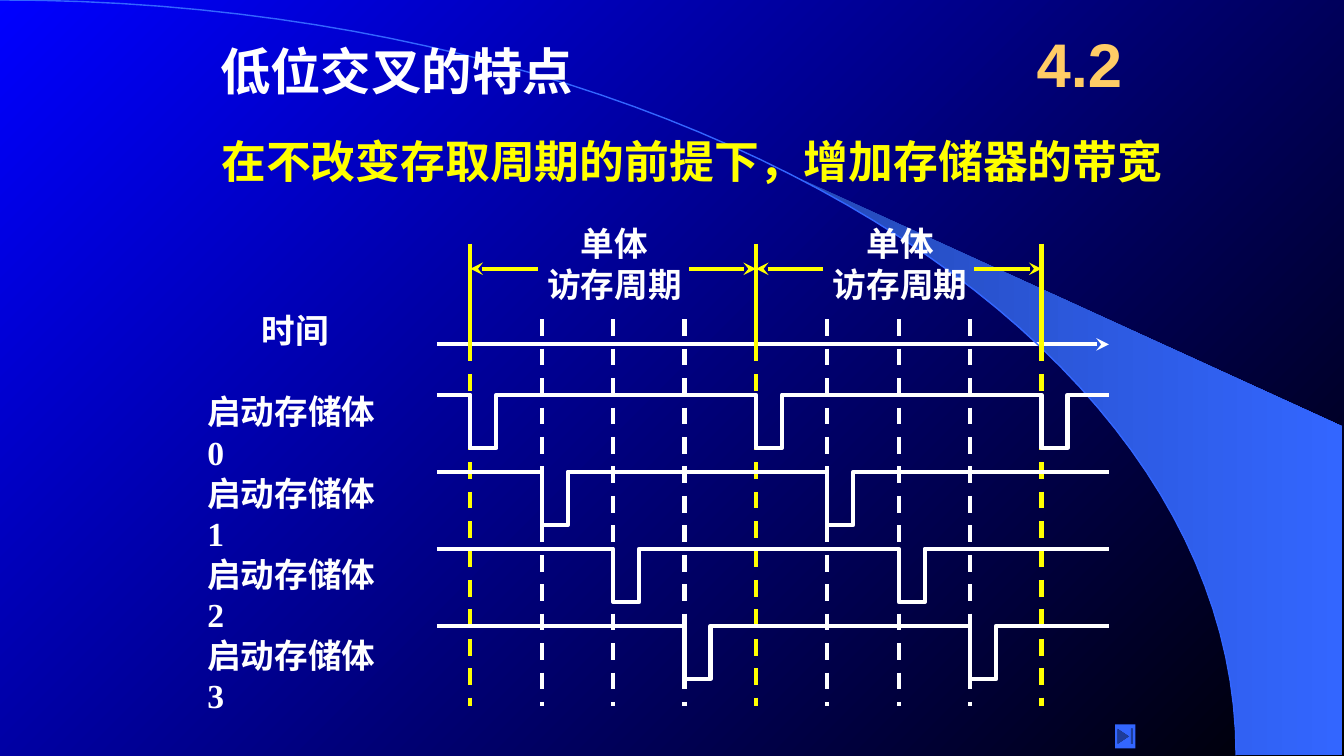
from lxml import etree
from pptx import Presentation
from pptx.dml.color import RGBColor
from pptx.enum.dml import MSO_LINE
from pptx.enum.shapes import MSO_CONNECTOR, MSO_SHAPE
from pptx.enum.text import MSO_ANCHOR, PP_ALIGN
from pptx.oxml.ns import qn
from pptx.util import Pt

STRAIGHT = MSO_CONNECTOR.STRAIGHT
DASH = MSO_LINE.DASH
TOP, MIDDLE = MSO_ANCHOR.TOP, MSO_ANCHOR.MIDDLE
LEFT, CENTER = PP_ALIGN.LEFT, PP_ALIGN.CENTER
COLORS = {"white": "FFFFFF", "yellow": "FFFF00", "orange": "FFCC66",
          "blue": "3366FF", "deep": "2449B6", "bg_start": "0000FF", "bg_end": "000000"}
RGB = {name: RGBColor.from_string(value) for name, value in COLORS.items()}

prs = Presentation()
prs.slide_width, prs.slide_height = Pt(960), Pt(540)
s = prs.slides.add_slide(prs.slide_layouts[5])


def add_line(x1, y1, x2, y2, color, dashed=False, arrow=False):
    line = s.shapes.add_connector(STRAIGHT, Pt(x1), Pt(y1), Pt(x2), Pt(y2))
    line.line.color.rgb = RGB[color]
    line.line.width = Pt(3)
    if dashed:
        line.line.dash_style = DASH
    if arrow:
        etree.SubElement(line.line._get_or_add_ln(), qn("a:tailEnd"), type="stealth")
    etree.SubElement(line._element.spPr, qn("a:effectLst"))


def put_text(sp, box, text, size, color, font="Times New Roman", align=LEFT, anchor=TOP):
    """Place a text shape and write one bold paragraph per line of text."""
    sp.left, sp.top, sp.width, sp.height = map(Pt, box)
    tf = sp.text_frame
    tf.word_wrap = True
    tf.vertical_anchor = anchor
    tf.text = text
    for p in tf.paragraphs:
        p.alignment = align
        p.font.size, p.font.name, p.font.bold = Pt(size), font, True
        p.font.color.rgb = RGB[color]


# Background: gradient, beam and arc
bg = s.background.fill
bg.gradient()
bg.gradient_angle = 315
for stop, name in zip(bg.gradient_stops, ("bg_start", "bg_end")):
    stop.color.rgb = RGB[name]

STEPS = 50
arc = []
for i in range(STEPS + 1):
    t = i / STEPS
    u = 1 - t
    arc.append((Pt(3 * 487.5 * t * u**2 + 3 * 883 * t**2 * u + 883 * t**3),
                Pt(3 * 241 * t**2 * u + 539.5 * t**3)))

beam_edge = arc[22:] + [(Pt(958.5), Pt(539.5)), (Pt(958.5), Pt(304.5))]
builder = s.shapes.build_freeform(*beam_edge[0], scale=1)
builder.add_line_segments(beam_edge[1:], close=True)
beam = builder.convert_to_shape()
beam.shadow.inherit = False
beam.line.fill.background()
beam.fill.gradient()
beam.fill.gradient_angle = 0
for stop, name in zip(beam.fill.gradient_stops, ("deep", "blue")):
    stop.color.rgb = RGB[name]

outlines = [(arc, "blue", 1)]

# Timing grid: four banks start a quarter of a period apart
START, QUARTER, PERIOD = 336, 51, 204
AXIS_LEFT, AXIS_RIGHT, AXIS_Y = 312, 792, 246
ticks = [START + QUARTER * i for i in range(9)]
for i, x in enumerate(ticks):
    if i % 4:
        add_line(x, 228, x, 504, "white", dashed=True)
    else:
        add_line(x, AXIS_Y, x, 504, "yellow", dashed=True)
add_line(AXIS_LEFT, AXIS_Y, AXIS_RIGHT, AXIS_Y, "white", arrow=True)

for bank in range(4):
    high = 282 + 55 * bank
    low = high + 38
    wave = [(AXIS_LEFT, high)]
    for x in ticks[bank::4]:
        wave += [(x, high), (x, low), (x + 18.5, low), (x + 18.5, high)]
    wave.append((AXIS_RIGHT, high))
    outlines.append(([(Pt(x), Pt(y)) for x, y in wave], "white", 3))
    put_text(s.shapes.add_textbox(0, 0, 0, 0), (141, 276 + 58 * bank, 148, 36),
             f"启动存储体 {bank}", 24, "white")

for points, color, width in outlines:
    builder = s.shapes.build_freeform(*points[0], scale=1)
    builder.add_line_segments(points[1:], close=False)
    sp = builder.convert_to_shape()
    sp.shadow.inherit = False
    sp.fill.background()
    sp.line.color.rgb = RGB[color]
    sp.line.width = Pt(width)

# Access periods
for x in ticks[::4]:
    add_line(x, 174, x, 252, "yellow")
for x in (START, START + PERIOD):
    add_line(x + 48, 192, x, 192, "yellow", arrow=True)
    add_line(x + 156, 192, x + PERIOD, 192, "yellow", arrow=True)
    put_text(s.shapes.add_textbox(0, 0, 0, 0), (x + 46, 156, 114, 66),
             "单体\n访存周期", 24, "white", align=CENTER)

# Headings
title = s.shapes.title
put_text(title, (150, 25, 290, 50), "低位交叉的特点", 36, "white")
title.element.getparent().append(title.element)
put_text(s.shapes.add_textbox(0, 0, 0, 0), (151, 92, 692, 46),
         "在不改变存取周期的前提下，增加存储器的带宽", 32, "yellow")
put_text(s.shapes.add_textbox(0, 0, 0, 0), (180, 217.5, 66, 36), "时间", 24, "white")
put_text(s.shapes.add_textbox(0, 0, 0, 0), (726, 12, 90, 66), "4.2", 44, "orange",
         font="Arial", align=CENTER, anchor=MIDDLE)

button = s.shapes.add_shape(MSO_SHAPE.ACTION_BUTTON_END, Pt(796.5), Pt(517.5), Pt(14.5), Pt(17))
button.shadow.inherit = False
button.fill.solid()
button.fill.fore_color.rgb = RGB["blue"]
button.line.fill.background()

prs.save("out.pptx")
